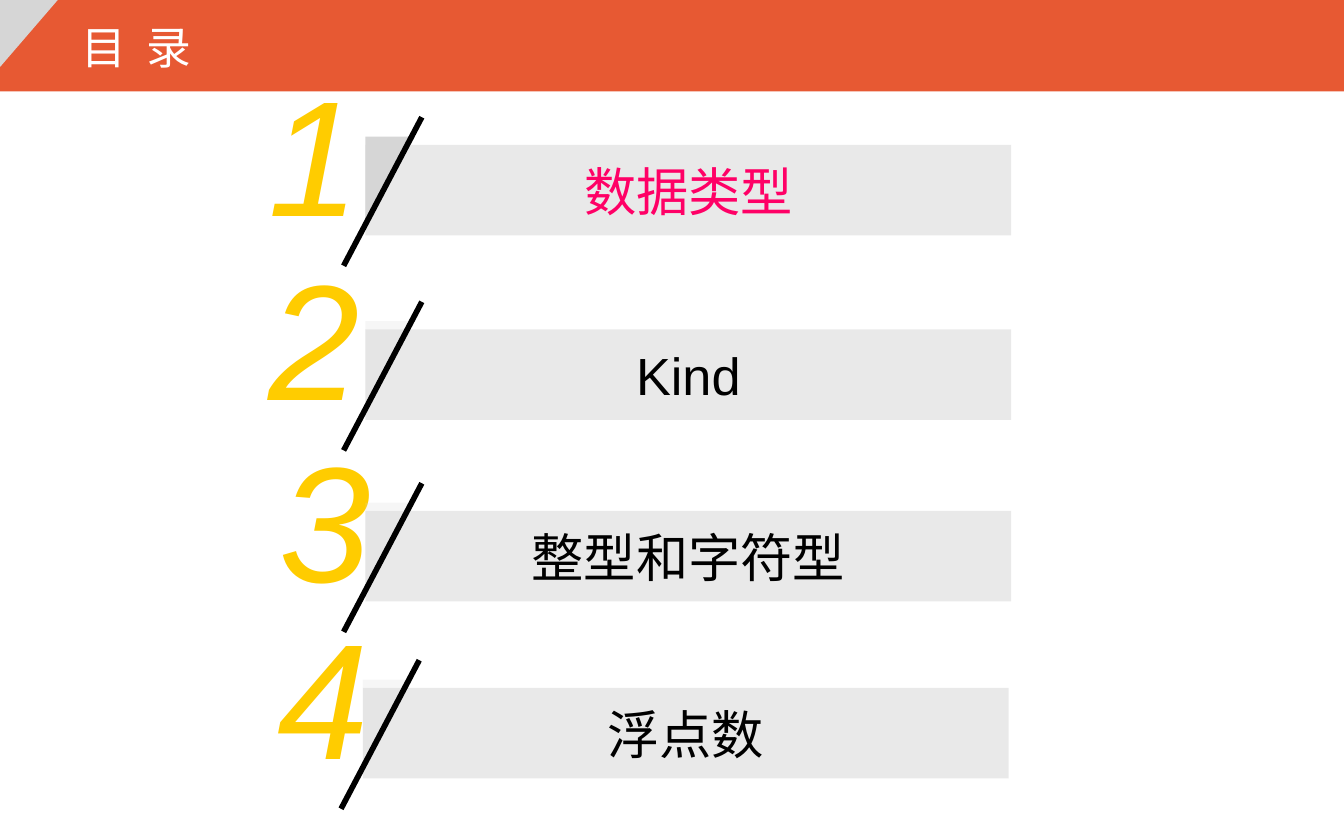
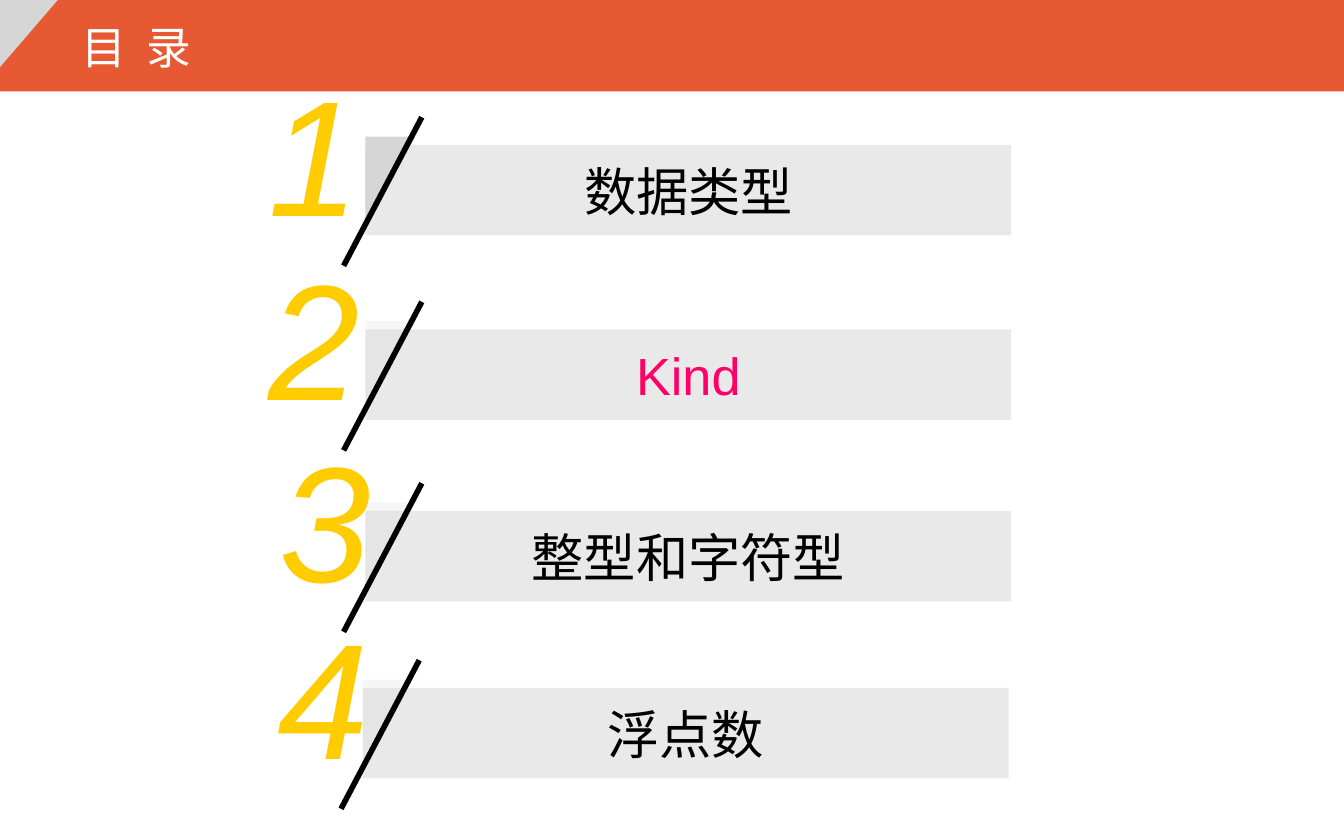
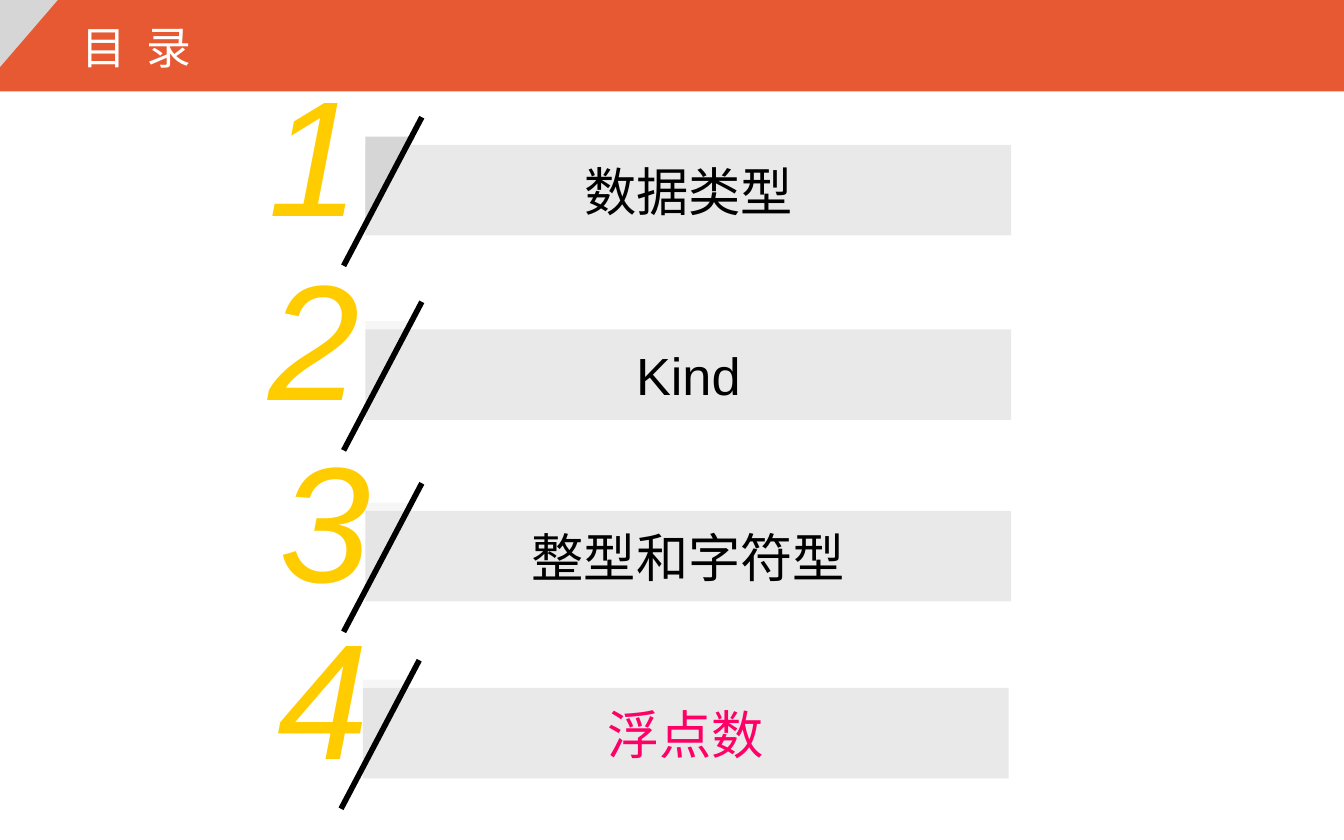
from dataclasses import dataclass

from lxml.etree import SubElement
from pptx import Presentation
from pptx.dml.color import RGBColor
from pptx.enum.shapes import MSO_CONNECTOR as Connector, MSO_SHAPE as Preset
from pptx.enum.text import MSO_ANCHOR as Anchor, MSO_AUTO_SIZE as AutoSize, PP_ALIGN as Align
from pptx.oxml.ns import qn
from pptx.util import Pt

COLORS = {
    "header": "E75933",
    "corner": "D6D6D6",
    "bar": "949494",
    "number": "FFCC00",
    "active": "FF0066",
    "text": "000000",
    "title": "FFFFFF",
}
SLIDE_WIDTH, SLIDE_HEIGHT = 720, 450
HEADER_HEIGHT = 49
BAR_WIDTH, BAR_HEIGHT = 346, 48.5
FAINT = 20


@dataclass(frozen=True)
class Chapter:
    number: int
    title: str
    number_left: float
    bar_left: float
    bar_top: float
    corner_opacity: int = FAINT


CHAPTERS = (
    Chapter(1, "数据类型", 136.8, 195.8, 77.6, corner_opacity=100),
    Chapter(2, "Kind", 136.8, 195.8, 176.5),
    Chapter(3, "整型和字符型", 142.6, 195.8, 273.7),
    Chapter(4, "浮点数", 141.8, 194.4, 368.5),
)
ACTIVE_CHAPTERS = (1, 2, 4)


def color(name: str) -> RGBColor:
    return RGBColor.from_string(COLORS[name])


def add_block(shapes, preset, left: float, top: float, width: float, height: float,
              fill: str, opacity: int = 100):
    block = shapes.add_shape(preset, Pt(left), Pt(top), Pt(width), Pt(height))
    block.shadow.inherit = False
    block.line.fill.background()
    block.fill.solid()
    block.fill.fore_color.rgb = color(fill)
    if opacity < 100:
        tint = block.element.spPr.find(qn("a:solidFill"))[0]
        SubElement(tint, qn("a:alpha")).set("val", str(opacity * 1000))
    return block


def add_corner(shapes, left: float, top: float, width: float, height: float,
               opacity: int = 100) -> None:
    """Draw a right triangle with its square corner at the top left."""
    corner = add_block(shapes, Preset.RIGHT_TRIANGLE, left, top, width, height, "corner", opacity)
    corner.element.spPr.find(qn("a:xfrm")).set("flipV", "1")


def write(frame, text: str, size: float, ink: str, font_name: str = "Arial",
          italic: bool = False):
    frame.text = text
    run = frame.paragraphs[0].runs[0]
    run.font.name = font_name
    run.font.size = Pt(size)
    run.font.italic = italic
    run.font.color.rgb = color(ink)
    return run


def add_text_frame(shapes, left: float, top: float, width: float, height: float, wrap: bool):
    frame = shapes.add_textbox(Pt(left), Pt(top), Pt(width), Pt(height)).text_frame
    frame.word_wrap = wrap
    frame.auto_size = AutoSize.SHAPE_TO_FIT_TEXT
    return frame


def add_slash(shapes, left: float, top: float) -> None:
    """Draw the stroke that cuts the left end of a bar placed at left, top."""
    slash = shapes.add_connector(Connector.STRAIGHT, Pt(left + 30.2), Pt(top - 14.8),
                                 Pt(left - 11.7), Pt(top + 64.8))
    slash.line.color.rgb = color("text")
    slash.line.width = Pt(3)
    SubElement(slash.element.spPr, qn("a:effectLst"))


def add_header(shapes) -> None:
    add_block(shapes, Preset.RECTANGLE, 0, 0, SLIDE_WIDTH, HEADER_HEIGHT, "header")
    add_corner(shapes, 0, 0, 31, 36)
    frame = add_text_frame(shapes, 36.7, 7.2, 244, 36, wrap=True)
    heading = write(frame, "目 录", 24, "title", "Courier New")
    heading.font._element.set("spc", "270")


def add_chapter(shapes, chapter: Chapter, active: bool) -> None:
    left, top = chapter.bar_left, chapter.bar_top
    entry = shapes.add_group_shape().shapes
    number = add_text_frame(entry, chapter.number_left, top - 53.3, 63.4, 113, wrap=False)
    write(number, str(chapter.number), 88, "number", italic=True)

    bar = add_block(entry, Preset.RECTANGLE, left, top, BAR_WIDTH, BAR_HEIGHT, "bar", FAINT)
    bar.text_frame.word_wrap = True
    bar.text_frame.vertical_anchor = Anchor.MIDDLE
    write(bar.text_frame, chapter.title, 28, "active" if active else "text")
    bar.text_frame.paragraphs[0].alignment = Align.CENTER

    add_corner(entry, left, top - 4.4, 26.6, 47.8, chapter.corner_opacity)
    add_slash(entry, left, top)


def main() -> None:
    deck = Presentation()
    deck.slide_width, deck.slide_height = Pt(SLIDE_WIDTH), Pt(SLIDE_HEIGHT)
    blank = deck.slide_layouts[6]
    for active_number in ACTIVE_CHAPTERS:
        shapes = deck.slides.add_slide(blank).shapes
        add_header(shapes)
        for chapter in CHAPTERS:
            add_chapter(shapes, chapter, chapter.number == active_number)
    deck.save("out.pptx")


if __name__ == "__main__":
    main()
